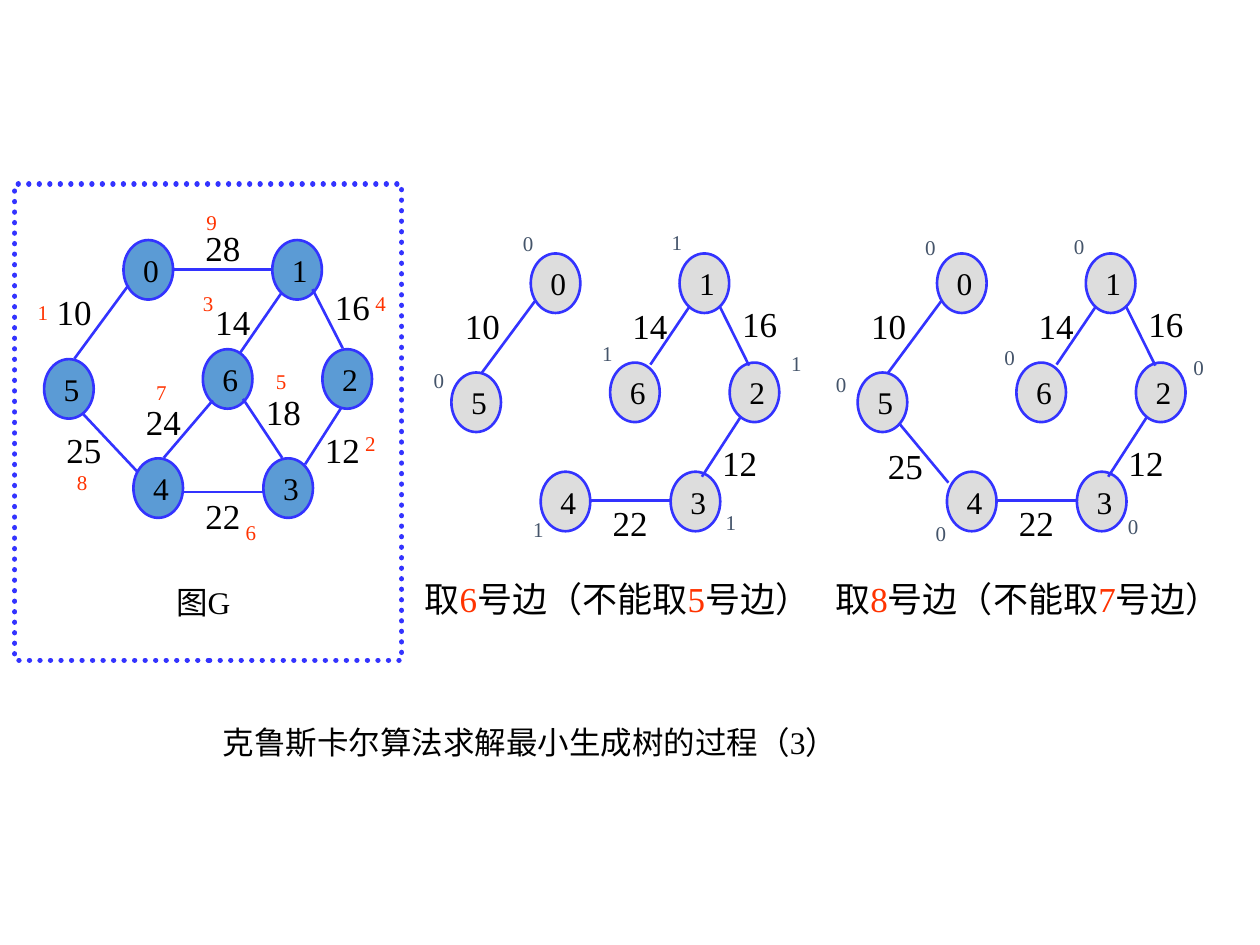
from lxml import etree
from pptx import Presentation
from pptx import util as u
from pptx.dml import color
from pptx.enum import dml, shapes, text
from pptx.oxml import ns

# Content; all lengths in centimetres, graph parts relative to the graph's origin
FONT = "Times New Roman"
BLACK, BLUE, RED, SLATE = "000000", "3333FF", "FF3300", "44546A"
TITLE = "克鲁斯卡尔算法求解最小生成树的过程（3）"
NODES = {
    "0": (1.6, 0), "1": (4.6, 0), "5": (0, 2.4), "4": (1.8, 4.4),
    "3": (4.42, 4.4), "6": (3.2, 2.2), "2": (5.61, 2.2),
}
# weight: (line start, line end, label corner)
FULL_EDGES = {
    "28": ((2.6, 0.59), (4.6, 0.59), (3, -0.4)),
    "10": ((1.7, 0.91), (0.61, 2.39), (0, 0.89)),
    "25": ((0.79, 3.51), (1.88, 4.67), (0.2, 3.68)),
    "22": ((2.79, 5.08), (4.42, 5.08), (3, 5)),
    "24": ((2.41, 4.39), (3.4, 3.23), (1.8, 3.1)),
    "18": ((4.01, 3.2), (4.8, 4.39), (4.22, 2.9)),
    "14": ((4.78, 1.07), (3.96, 2.26), (3.2, 1.09)),
    "16": ((5.41, 0.99), (6.02, 2.18), (5.61, 0.79)),
    "12": ((5.99, 3.38), (5.26, 4.52), (5.41, 3.68)),
}
TREE_EDGES = {
    "10": ((1.7, 0.94), (0.61, 2.41), (0.02, 0.91)),
    "14": ((4.8, 1.07), (4.01, 2.24), (3.4, 0.91)),
    "16": ((5.41, 1.07), (6, 2.26), (5.61, 0.86)),
    "12": ((5.84, 3.28), (5.05, 4.5), (5.21, 3.66)),
    "22": ((2.79, 4.98), (4.42, 4.98), (3, 4.88)),
}
LAST_EDGE = {"25": ((0.84, 3.43), (1.83, 4.62), (0.36, 3.73))}
EDGE_RANKS = [
    ("1", -0.38, 1.07), ("2", 6.22, 3.71), ("3", 2.95, 0.89),
    ("4", 6.43, 0.89), ("5", 4.42, 2.46), ("6", 3.81, 5.51),
    ("7", 2.01, 2.69), ("8", 0.41, 4.5), ("9", 3.02, -0.74),
]
# Component mark beside each node, in the order 0, 1, 5, 6, 2, 4, 3
MARK_PLACES = [(1.19, -0.58), (4.19, -0.61), (-0.61, 2.18), (2.79, 1.63),
               (6.6, 1.83), (1.4, 5.18), (5.28, 5.03)]


def place_marks(digits, shift):
    return [(digit, x - shift, y + shift)
            for digit, (x, y) in zip(digits, MARK_PLACES)]


def step_caption(taken, skipped):
    return [("取", BLACK), (taken, RED), ("号边（不能取", BLACK),
            (skipped, RED), ("号边）", BLACK)]


GRAPHS = [
    dict(origin=(0.89, 4.84), fill="5B9BD5", edges=FULL_EDGES,
         marks=EDGE_RANKS, mark_color=RED,
         caption=[("图G", BLACK)], caption_box=(3.3, 11.63, 2.59, 1.02), size=18),
    dict(origin=(9.1, 5.11), fill="DDDDDD", edges=TREE_EDGES,
         marks=place_marks("0101111", 0), mark_color=SLATE,
         caption=step_caption("6", "5"), caption_box=(8.31, 11.51, 8.81, 1.12), size=20),
    dict(origin=(17.29, 5.11), fill="DDDDDD", edges=TREE_EDGES | LAST_EDGE,
         marks=place_marks("0000000", 0.08), mark_color=SLATE,
         caption=step_caption("8", "7"), caption_box=(16.59, 11.51, 8.81, 1.12), size=20),
]


def paint(target, hex_color):
    target.rgb = color.RGBColor.from_string(hex_color)


def write(frame, spans, size):
    para = frame.paragraphs[0]
    para.alignment = text.PP_ALIGN.LEFT
    for words, hex_color in spans:
        span = para.add_run()
        span.text = words
        span.font.name, span.font.size = FONT, u.Pt(size)
        paint(span.font.color, hex_color)


def add_text(page, spans, size, *place):
    box = page.shapes.add_textbox(*map(u.Cm, place))
    box.text_frame.word_wrap = True
    write(box.text_frame, spans, size)


def add_outlined(page, kind, width, *place):
    shape = page.shapes.add_shape(kind, *map(u.Cm, place))
    shape.shadow.inherit = False
    paint(shape.line.color, BLUE)
    shape.line.width = u.Pt(width)
    return shape


def add_node(page, name, fill, x, y):
    node = add_outlined(page, shapes.MSO_SHAPE.OVAL, 1.5, x, y, 1, 1.2)
    node.fill.solid()
    paint(node.fill.fore_color, fill)
    node.text_frame.word_wrap = False
    node.text_frame.vertical_anchor = text.MSO_ANCHOR.MIDDLE
    write(node.text_frame, [(name, BLACK)], 18)


def add_edge(page, start, end):
    edge = page.shapes.add_connector(
        shapes.MSO_CONNECTOR.STRAIGHT, *map(u.Cm, (*start, *end)))
    paint(edge.line.color, BLUE)
    edge.line.width = u.Pt(1.5)
    etree.SubElement(edge.element.spPr, ns.qn("a:effectLst"))


def add_graph(page, graph):
    left, top = graph["origin"]

    def shifted(point):
        return left + point[0], top + point[1]

    for name, corner in NODES.items():
        add_node(page, name, graph["fill"], *shifted(corner))
    for weight, (start, end, label) in graph["edges"].items():
        add_edge(page, shifted(start), shifted(end))
        add_text(page, [(weight, BLACK)], 20, *shifted(label), 1.4, 1.12)
    for digit, x, y in graph["marks"]:
        add_text(page, [(digit, graph["mark_color"])], 12,
                 *shifted((x, y)), 0.79, 0.76)
    add_text(page, graph["caption"], graph["size"], *graph["caption_box"])


def main():
    deck = Presentation()
    deck.slide_width, deck.slide_height = u.Cm(25.4), u.Cm(19.05)
    page = deck.slides.add_slide(deck.slide_layouts[5])

    # Title below the graphs
    title = page.shapes.title
    title.left, title.top, title.width, title.height = map(
        u.Cm, (4.24, 14.45, 18.21, 1.02))
    title.text_frame.vertical_anchor = text.MSO_ANCHOR.TOP
    write(title.text_frame, [(TITLE, BLACK)], 18)

    # Graphs
    for graph in GRAPHS:
        add_graph(page, graph)

    # Dotted frame around the full graph
    frame = add_outlined(page, shapes.MSO_SHAPE.RECTANGLE, 3, 0.3, 3.71, 7.8, 9.6)
    frame.fill.background()
    frame.line.dash_style = dml.MSO_LINE.ROUND_DOT
    frame.element.spPr.find(ns.qn("a:ln")).set("cap", "rnd")

    deck.save("out.pptx")


if __name__ == "__main__":
    main()
